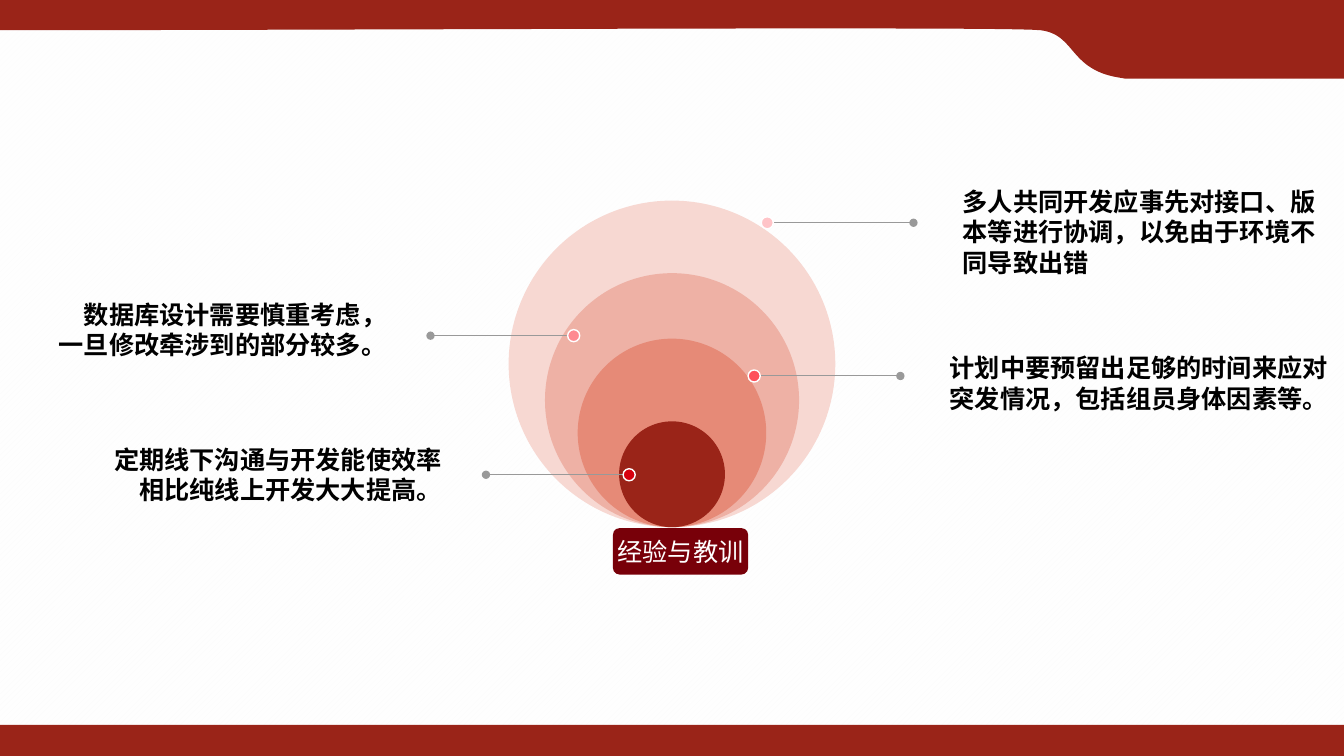
"""Build the slide on lessons learned: nested circles with four annotated notes."""
import lxml.etree
import pptx
import pptx.dml.color
import pptx.enum.dml
import pptx.enum.shapes
import pptx.enum.text
import pptx.oxml.ns
import pptx.util

SHAPES = pptx.enum.shapes.MSO_SHAPE
ALIGN = pptx.enum.text.PP_ALIGN
qn = pptx.oxml.ns.qn
inches = pptx.util.Inches

TITLE = "经验与教训"
NOTES = [
    dict(side="left", dot=(6.24, 4.71), middle=4.71, color="D7010E",
         lines=["定期线下沟通与开发能使效率", "相比纯线上开发大大提高。"]),
    dict(side="left", dot=(5.69, 3.33), middle=3.27, color="FE8A91",
         lines=["数据库设计需要慎重考虑，", "一旦修改牵涉到的部分较多。"]),
    dict(side="right", dot=(7.61, 2.21), middle=2.3, color="FFC4C8",
         lines=["多人共同开发应事先对接口、版", "本等进行协调，以免由于环境不", "同导致出错"]),
    dict(side="right", dot=(7.48, 3.73), middle=3.8, color="FE4F5A",
         lines=["计划中要预留出足够的时间来应对", "突发情况，包括组员身体因素等。"]),
]
RINGS = [(3.24, "F7D8D2"), (2.52, "EEB1A5"), (1.87, "E68A77"), (1.05, "9A2418")]
THEME = dict(font="Noto Sans CJK SC", size=18, text="000000", white="FFFFFF", stripe="F2F2F2",
             band="9A2418", plaque="780009", leader="999999")
SIDES = dict(left=dict(sign=-1, reach=1.42, gap=0.34, align=ALIGN.RIGHT),
             right=dict(sign=1, reach=1.45, gap=0.39, align=ALIGN.LEFT))

WIDTH, HEIGHT = 13.33, 7.5
RING_BOTTOM = 5.23
PLAQUE = (6.08, 5.24, 1.34, 0.46)
FOOTER_HEIGHT = 0.31
NOTE_WIDTH, NOTE_HEIGHT = 3.9, 1
DOT_SIZE = 0.12
HEADER_START = (11.1, 0.77)
HEADER_CURVES = [((10.6, 0.69), (10.67, 0.34), (10.32, 0.3)),
                 ((9.97, 0.26), (3.44, 0.3), (0, 0.3))]
CURVE_STEPS = 24


def rgb(name):
    return pptx.dml.color.RGBColor.from_string(name)


def paint(shape, color, outline=None):
    shape.fill.solid()
    shape.fill.fore_color.rgb = rgb(color)
    shape.shadow.inherit = False
    if outline:
        shape.line.color.rgb = rgb(outline)
        shape.line.width = pptx.util.Pt(1)
    else:
        shape.line.fill.background()


def add_shape(kind, left, top, width, height, color, outline=None):
    shape = slide.shapes.add_shape(kind, *map(inches, (left, top, width, height)))
    paint(shape, color, outline)
    return shape


def write(shape, lines, color, align, bold):
    frame = shape.text_frame
    frame.text = "\n".join(lines)
    frame.word_wrap = False
    frame.auto_size = pptx.enum.text.MSO_AUTO_SIZE.NONE
    frame.vertical_anchor = pptx.enum.text.MSO_ANCHOR.MIDDLE
    for paragraph in frame.paragraphs:
        paragraph.alignment = align
        font = paragraph.font
        font.name, font.size, font.bold = THEME["font"], pptx.util.Pt(THEME["size"]), bold
        font.color.rgb = rgb(color)
        latin = paragraph._p.pPr.find(".//" + qn("a:latin"))
        east_asian = lxml.etree.Element(qn("a:ea"), typeface=THEME["font"])
        latin.addnext(east_asian)


def curve_points(start, first, second, end):
    for step in range(1, CURVE_STEPS + 1):
        t = step / CURVE_STEPS
        weights = ((1 - t) ** 3, 3 * t * (1 - t) ** 2, 3 * t ** 2 * (1 - t), t ** 3)
        yield tuple(sum(weight * point[axis] for weight, point
                        in zip(weights, (start, first, second, end))) for axis in (0, 1))


def add_backdrop():
    fill = slide.background.fill
    fill.patterned()
    fill.pattern = pptx.enum.dml.MSO_PATTERN.WIDE_UPWARD_DIAGONAL
    fill.fore_color.rgb, fill.back_color.rgb = rgb(THEME["stripe"]), rgb(THEME["white"])
    veil = add_shape(SHAPES.RECTANGLE, 0, 0, WIDTH, HEIGHT - 0.16, THEME["white"])
    veil.fill.gradient()
    veil.fill.gradient_angle = 270
    for stop, opacity in zip(veil.fill.gradient_stops, (90, 70)):
        stop.color.rgb = rgb(THEME["white"])
        color = stop._gs.find(qn("a:srgbClr"))
        lxml.etree.SubElement(color, qn("a:alpha"), val=str(opacity * 1000))


def add_bands():
    add_shape(SHAPES.RECTANGLE, 0, HEIGHT - FOOTER_HEIGHT, WIDTH, FOOTER_HEIGHT, THEME["band"])
    points = [(WIDTH, 0), (WIDTH, 0.78), (11.16, 0.78), HEADER_START]
    for curve in HEADER_CURVES:
        points.extend(curve_points(points[-1], *curve))
    builder = slide.shapes.build_freeform(0, 0)
    builder.add_line_segments([tuple(map(inches, point)) for point in points])
    paint(builder.convert_to_shape(), THEME["band"])


def add_rings():
    for size, color in RINGS:
        add_shape(SHAPES.OVAL, (WIDTH - size) / 2, RING_BOTTOM - size, size, size, color)


def add_note(note):
    side = SIDES[note["side"]]
    x, y = note["dot"]
    end = x + side["sign"] * side["reach"]
    leader = slide.shapes.add_connector(pptx.enum.shapes.MSO_CONNECTOR.STRAIGHT,
                                        *map(inches, (x, y, end, y)))
    leader.line.color.rgb = rgb(THEME["leader"])
    leader.line.width = pptx.util.Pt(0.75)
    lxml.etree.SubElement(leader.line._get_or_add_ln(), qn("a:tailEnd"), type="oval")
    lxml.etree.SubElement(leader._element.spPr, qn("a:effectLst"))
    add_shape(SHAPES.OVAL, x - DOT_SIZE / 2, y - DOT_SIZE / 2, DOT_SIZE, DOT_SIZE,
              note["color"], THEME["white"])
    near = end + side["sign"] * side["gap"]
    left = min(near, near + side["sign"] * NOTE_WIDTH)
    box = slide.shapes.add_textbox(*map(inches, (left, note["middle"] - NOTE_HEIGHT / 2,
                                                 NOTE_WIDTH, NOTE_HEIGHT)))
    write(box, note["lines"], THEME["text"], side["align"], True)


def place_title():
    plaque = add_shape(SHAPES.ROUNDED_RECTANGLE, *PLAQUE, THEME["plaque"])
    plaque.adjustments[0] = 0.14
    title = slide.shapes.title
    title.left, title.top, title.width, title.height = map(inches, PLAQUE)
    write(title, [TITLE], THEME["white"], ALIGN.CENTER, False)
    title.text_frame.margin_left = title.text_frame.margin_right = 0
    plaque._element.addnext(title._element)


presentation = pptx.Presentation()
presentation.slide_width, presentation.slide_height = inches(WIDTH), inches(HEIGHT)
slide = presentation.slides.add_slide(presentation.slide_layouts[5])
add_backdrop()
add_bands()
add_rings()
for note in NOTES:
    add_note(note)
place_title()
presentation.save("out.pptx")
